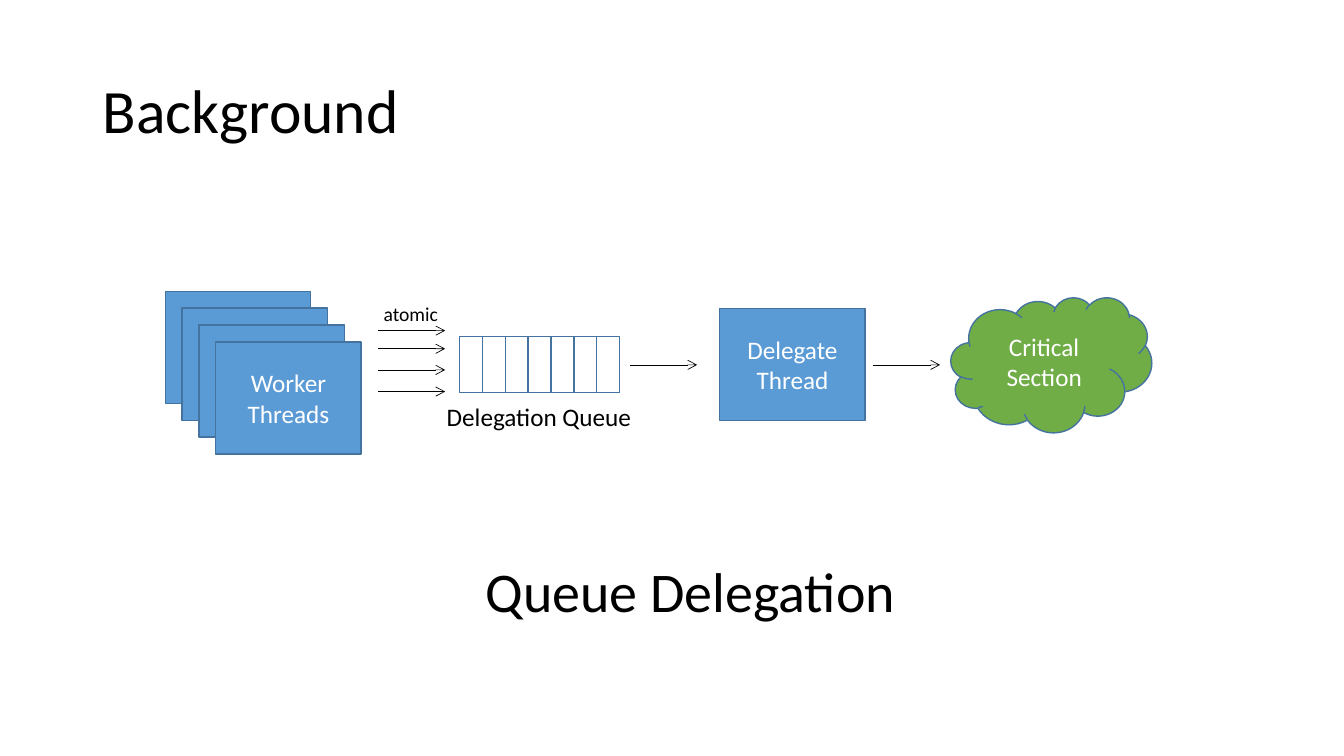
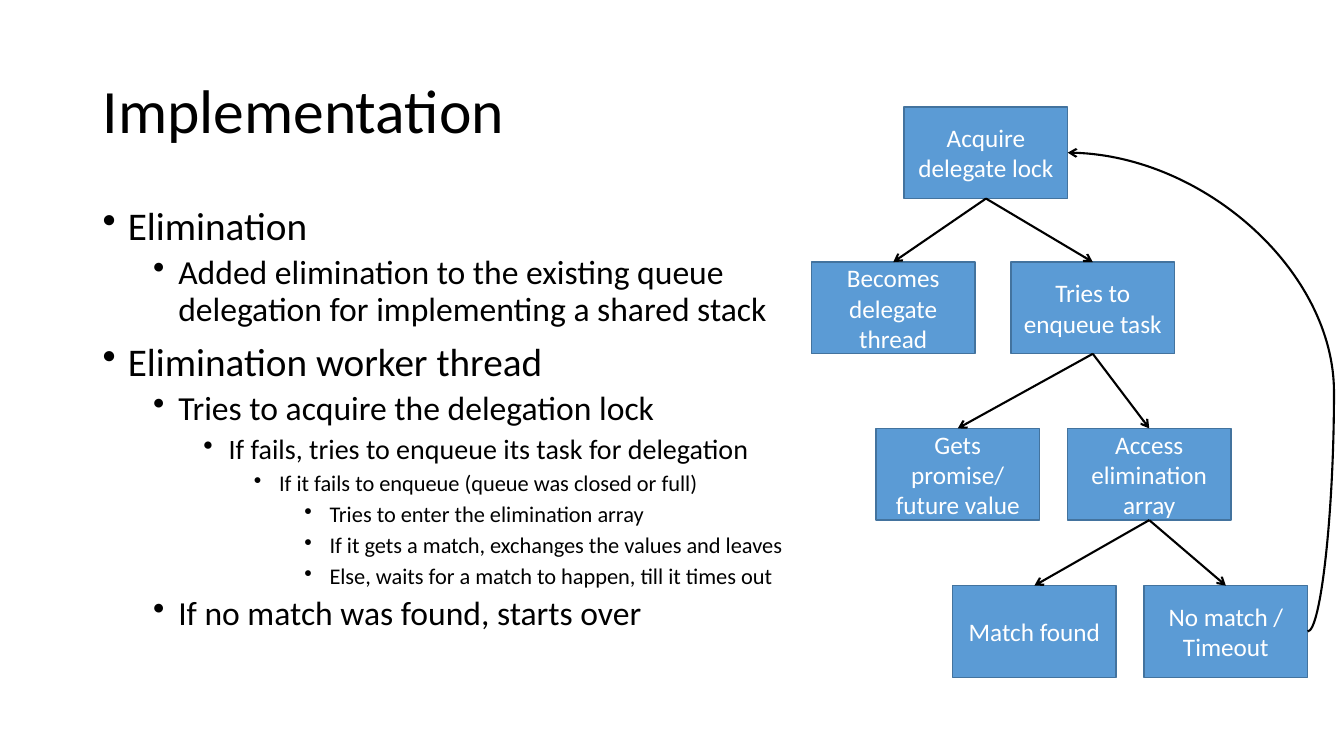
import lxml.etree
import pptx
import pptx.dml.color
import pptx.enum.shapes
import pptx.enum.text
import pptx.oxml.ns
import pptx.util

SHAPE = pptx.enum.shapes.MSO_SHAPE
CONNECTOR = pptx.enum.shapes.MSO_CONNECTOR
ANCHOR = pptx.enum.text.MSO_ANCHOR
ALIGN = pptx.enum.text.PP_ALIGN
GROW = pptx.enum.text.MSO_AUTO_SIZE.SHAPE_TO_FIT_TEXT
BOTTOM, RIGHT, TOP = 2, 3, 0
COLORS = {"text": "000000", "light": "FFFFFF", "box": "5B9BD5",
          "edge": "43739E", "cloud": "70AD47"}
FONT = "Calibri"
WIDTH, HEIGHT = pptx.util.Inches(13.33), pptx.util.Inches(7.5)
COLUMNS, ROWS = 40, 30
LEVEL_SIZES = (28, 24, 20, 16, 16)


def color(name):
    return pptx.dml.color.RGBColor.from_string(COLORS[name])


def apply(target, values):
    for attribute, value in values.items():
        setattr(target, attribute, value)


def grid(*lengths):
    """Turn alternating columns and rows into slide lengths."""
    units = (WIDTH / COLUMNS, HEIGHT / ROWS)
    return [round(length * units[i % 2]) for i, length in enumerate(lengths)]


class Deck:
    def __init__(self):
        self.presentation = pptx.Presentation()
        apply(self.presentation, {"slide_width": WIDTH, "slide_height": HEIGHT})
        self.slide = None

    def new_slide(self, title):
        blank = self.presentation.slide_layouts[6]
        self.slide = self.presentation.slides.add_slide(blank)
        self.text((2.76, 1.6, 34.5, 5.8), title, 44,
                  {"word_wrap": True, "vertical_anchor": ANCHOR.MIDDLE},
                  {"line_spacing": 0.9})

    def add_words(self, paragraph, words, size, ink="text", layout=None):
        run = paragraph.add_run()
        run.text = words
        apply(run.font, {"name": FONT, "size": pptx.util.Pt(size)})
        run.font.color.rgb = color(ink)
        apply(paragraph, layout or {})

    def text(self, place, words, size, frame_format=None, layout=None):
        frame = self.slide.shapes.add_textbox(*grid(*place)).text_frame
        apply(frame, frame_format or {"word_wrap": False, "auto_size": GROW})
        self.add_words(frame.paragraphs[0], words, size, layout=layout)

    def bullets(self, place, items):
        """Set (level, words) pairs as an indented list."""
        frame = self.slide.shapes.add_textbox(*grid(*place)).text_frame
        frame.word_wrap = True
        for i, (level, words) in enumerate(items):
            paragraph = frame.add_paragraph() if i else frame.paragraphs[0]
            self.add_words(paragraph, words, LEVEL_SIZES[level], layout={
                "level": level, "line_spacing": 0.9,
                "space_before": pptx.util.Pt(5 if level else 10)})
            properties = paragraph._p.get_or_add_pPr()
            properties.set("marL", str(pptx.util.Inches(0.25 + 0.5 * level)))
            properties.set("indent", str(pptx.util.Inches(-0.25)))
            lxml.etree.SubElement(properties, pptx.oxml.ns.qn("a:buChar"), char="•")

    def shape(self, place, lines=(), fill="box", kind=SHAPE.RECTANGLE, parent=None):
        shape = (parent or self.slide).shapes.add_shape(kind, *grid(*place))
        shape.shadow.inherit = False
        if fill:
            shape.fill.solid()
            shape.fill.fore_color.rgb = color(fill)
        else:
            shape.fill.background()
        shape.line.color.rgb = color("edge")
        shape.line.width = pptx.util.Pt(1)
        frame = shape.text_frame
        apply(frame, {"word_wrap": True, "vertical_anchor": ANCHOR.MIDDLE})
        for i, line in enumerate(lines):
            paragraph = frame.add_paragraph() if i else frame.paragraphs[0]
            self.add_words(paragraph, line, 18, "light", {"alignment": ALIGN.CENTER})
        return shape

    def arrow(self, ends=(0, 0, 0, 0), width=0.5, kind=CONNECTOR.STRAIGHT):
        arrow = self.slide.shapes.add_connector(kind, *grid(*ends))
        arrow.line.color.rgb = color("text")
        arrow.line.width = pptx.util.Pt(width)
        qn = pptx.oxml.ns.qn
        properties = arrow.element.spPr
        lxml.etree.SubElement(properties.find(qn("a:ln")), qn("a:tailEnd"), type="arrow")
        lxml.etree.SubElement(properties, qn("a:effectLst"))
        return arrow

    def link(self, start, start_side, end, end_side, kind=CONNECTOR.STRAIGHT):
        arrow = self.arrow(width=1.5, kind=kind)
        arrow.begin_connect(start, start_side)
        arrow.end_connect(end, end_side)
        return arrow

    def bend(self, arrow, share):
        """Move the middle of a curved arrow to a share of its width."""
        qn = pptx.oxml.ns.qn
        guides = arrow.element.spPr.find(qn("a:prstGeom")).find(qn("a:avLst"))
        lxml.etree.SubElement(guides, qn("a:gd"), name="adj1",
                              fmla=f"val {round(share * 100000)}")


def add_background(deck):
    deck.new_slide("Background")
    thread_size = (4.33, 4.45)
    workers = 4
    for i in range(workers):
        lines = ("Worker", "Threads") if i == workers - 1 else ()
        deck.shape((4.92 + 0.5 * i, 11.56 + 0.67 * i, *thread_size), lines)
    queue = deck.slide.shapes.add_group_shape()
    for i in range(7):
        deck.shape((13.68 + 0.68 * i, 13.36, 0.68, 2.23), fill=None, parent=queue)
    deck.shape((21.42, 12.24, *thread_size), ("Delegate", "Thread"))
    deck.shape((28.3, 11.8, 5.98, 5.36), ("Critical", "Section"), "cloud", SHAPE.CLOUD)
    deck.text((13, 15.72, 6.18, 1.6), "Delegation Queue", 18)
    for left, row in ((11.25, 13.12), (11.25, 13.84), (11.25, 14.68),
                      (11.25, 15.54), (18.75, 14.48), (25.98, 14.48)):
        deck.arrow((left, row, left + 2, row))
    deck.text((14.16, 21.88, 12.93, 3.08), "Queue Delegation", 40)
    deck.text((11.1, 11.8, 2.25, 1.36), "atomic", 14, layout={"alignment": ALIGN.CENTER})


def add_implementation(deck):
    deck.new_slide("Implementation")
    deck.bullets((2.76, 8, 22.11, 19.04), (
        (0, "Elimination"),
        (1, "Added elimination to the existing queue delegation "
            "for implementing a shared stack"),
        (0, "Elimination worker thread"),
        (1, "Tries to acquire the delegation lock"),
        (2, "If fails, tries to enqueue its task for delegation"),
        (3, "If it fails to enqueue (queue was closed or full)"),
        (4, "Tries to enter the elimination array"),
        (4, "If it gets a match, exchanges the values and leaves"),
        (4, "Else, waits for a match to happen, till it times out"),
        (1, "If no match was found, starts over")))
    steps = {
        "lock": (26.91, 4.24, "Acquire delegate lock"),
        "delegate": (24.15, 10.4, "Becomes delegate thread"),
        "enqueue": (30.09, 10.4, "Tries to enqueue task"),
        "promise": (26.07, 17, "Gets promise/ future value"),
        "array": (31.77, 17, "Access elimination array"),
        "match": (28.35, 23.24, "Match found"),
        "timeout": (34.05, 23.24, "No match / Timeout")}
    boxes = {step: deck.shape((column, row, 4.87, 3.64), (words,))
             for step, (column, row, words) in steps.items()}
    branches = {"lock": ("delegate", "enqueue"), "enqueue": ("promise", "array"),
                "array": ("match", "timeout")}
    for step, outcomes in branches.items():
        for outcome in outcomes:
            deck.link(boxes[step], BOTTOM, boxes[outcome], TOP)
    retry = deck.link(boxes["timeout"], RIGHT, boxes["lock"], RIGHT, CONNECTOR.CURVE)
    deck.bend(retry, -0.11)


def main():
    deck = Deck()
    add_background(deck)
    add_implementation(deck)
    deck.presentation.save("out.pptx")


if __name__ == "__main__":
    main()
